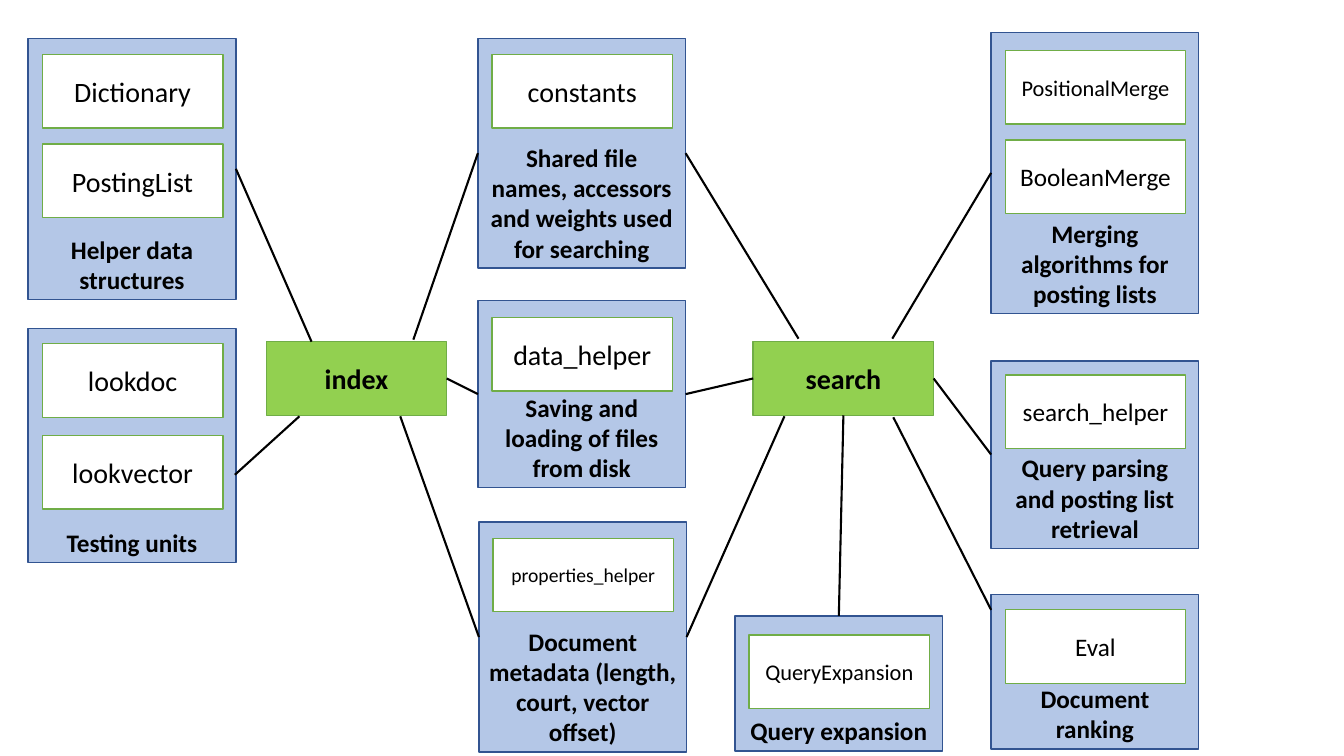
from lxml.etree import SubElement
from pptx import Presentation
from pptx.dml.color import RGBColor
from pptx.enum.shapes import MSO_CONNECTOR as Connector, MSO_SHAPE as Shape
from pptx.enum.text import MSO_ANCHOR as Anchor, PP_ALIGN as Align
from pptx.oxml.ns import qn
from pptx.util import Inches, Pt

BLACK = RGBColor(0x00, 0x00, 0x00)
WHITE = RGBColor(0xFF, 0xFF, 0xFF)
PANEL_FILL = RGBColor(0xB4, 0xC7, 0xE7)
PANEL_LINE = RGBColor(0x32, 0x54, 0x91)
MODULE_LINE = RGBColor(0x70, 0xAD, 0x47)
HUB_FILL = RGBColor(0x92, 0xD0, 0x50)

PANEL_WIDTH = 2.06
MODULE_WIDTH, MODULE_HEIGHT = 1.79, 0.73
MODULE_INDENT = 0.14
TOP, LEFT, BOTTOM, RIGHT = range(4)

# name: left, top, height, caption, module offset, module pitch, modules
PANELS = {
    "structures": (0.28, 0.38, 2.59, "Helper data structures", 0.16, 0.89,
                   [("Dictionary", 20), ("PostingList", 20)]),
    "testing": (0.28, 3.26, 2.32, "Testing units", 0.15, 0.91,
                [("lookdoc", 20), ("lookvector", 20)]),
    "constants": (4.74, 0.38, 2.28,
                  "Shared file names, accessors and weights used for searching",
                  0.16, 0, [("constants", 20)]),
    "data": (4.74, 2.98, 1.86, "Saving and loading of files from disk",
             0.17, 0, [("data_helper", 20)]),
    "properties": (4.75, 5.18, 2.28,
                   "Document metadata (length, court, vector offset)",
                   0.16, 0, [("properties_helper", 14)]),
    "expansion": (7.29, 6.11, 1.34, "Query expansion", 0.19, 0,
                  [("QueryExpansion", 16)]),
    "merging": (9.83, 0.32, 2.79, "Merging algorithms for posting lists",
                0.18, 0.89, [("PositionalMerge", 16), ("BooleanMerge", 18)]),
    "parsing": (9.83, 3.58, 1.86, "Query parsing and posting list retrieval",
                0.14, 0, [("search_helper", 18)]),
    "ranking": (9.83, 5.9, 1.53, "Document ranking", 0.15, 0, [("Eval", 18)]),
}

HUBS = {"index": (2.64, 3.39), "search": (7.47, 3.39)}

LINKS = [
    ((3.09, 3.39), ("structures", RIGHT)),
    ((2.33, 4.71), (2.97, 4.13)),
    (("constants", LEFT), (4.1, 3.37)),
    (("data", LEFT), ("index", RIGHT)),
    (("properties", LEFT), (3.97, 4.13)),
    (("data", RIGHT), ("search", LEFT)),
    (("constants", RIGHT), (7.92, 3.36)),
    (("properties", RIGHT), (7.78, 4.13)),
    (("merging", LEFT), (8.85, 3.36)),
    (("parsing", LEFT), ("search", RIGHT)),
    (("expansion", TOP), ("search", BOTTOM)),
    ((9.83, 6.05), (8.86, 4.14)),
]


def add_box(page, area, text, size, fill, line, bold=False, anchor=Anchor.MIDDLE):
    """Add a labelled rectangle in the area (left, top, width, height)."""
    box = page.shapes.add_shape(Shape.RECTANGLE, *map(Inches, area))
    box.shadow.inherit = False
    box.fill.solid()
    box.fill.fore_color.rgb = fill
    box.line.color.rgb = line
    box.line.width = Pt(1)
    frame = box.text_frame
    frame.text = text
    frame.word_wrap = True
    frame.vertical_anchor = anchor
    para = frame.paragraphs[0]
    para.alignment = Align.CENTER
    font = para.runs[0].font
    font.name, font.size, font.bold = "Calibri", Pt(size), bold
    font.color.rgb = BLACK
    return box


def add_panel(page, left, top, height, caption, offset, pitch, modules):
    """Add a captioned panel with its modules stacked from the top."""
    panel = add_box(page, (left, top, PANEL_WIDTH, height), caption, 18,
                    PANEL_FILL, PANEL_LINE, True, Anchor.BOTTOM)
    for row, (name, size) in enumerate(modules):
        area = (left + MODULE_INDENT, top + offset + row * pitch,
                MODULE_WIDTH, MODULE_HEIGHT)
        add_box(page, area, name, size, WHITE, MODULE_LINE)
    return panel


def add_hub(page, name, left, top):
    """Add one of the two main programs."""
    area = (left, top, MODULE_WIDTH, MODULE_HEIGHT)
    return add_box(page, area, name, 20, HUB_FILL, MODULE_LINE, True)


def add_link(page, boxes, start, end):
    """Join two ends, each a point or a (box name, side) pair."""
    points = [(0, 0) if end_point[0] in boxes else end_point
              for end_point in (start, end)]
    link = page.shapes.add_connector(
        Connector.STRAIGHT, *(Inches(value) for point in points for value in point))
    link.line.color.rgb = BLACK
    link.line.width = Pt(1.5)
    SubElement(link._element.spPr, qn("a:effectLst"))
    for target, connect in ((start, link.begin_connect), (end, link.end_connect)):
        if target[0] in boxes:
            connect(boxes[target[0]], target[1])


def build_module_map(page):
    """Place the panels, the hubs and the links between them."""
    boxes = {name: add_panel(page, *details) for name, details in PANELS.items()}
    for name, corner in HUBS.items():
        boxes[name] = add_hub(page, name, *corner)
    for start, end in LINKS:
        add_link(page, boxes, start, end)


def main():
    """Build and save the deck."""
    deck = Presentation()
    deck.slide_width, deck.slide_height = Inches(13.33), Inches(7.5)
    build_module_map(deck.slides.add_slide(deck.slide_layouts[6]))
    deck.save("out.pptx")


if __name__ == "__main__":
    main()
